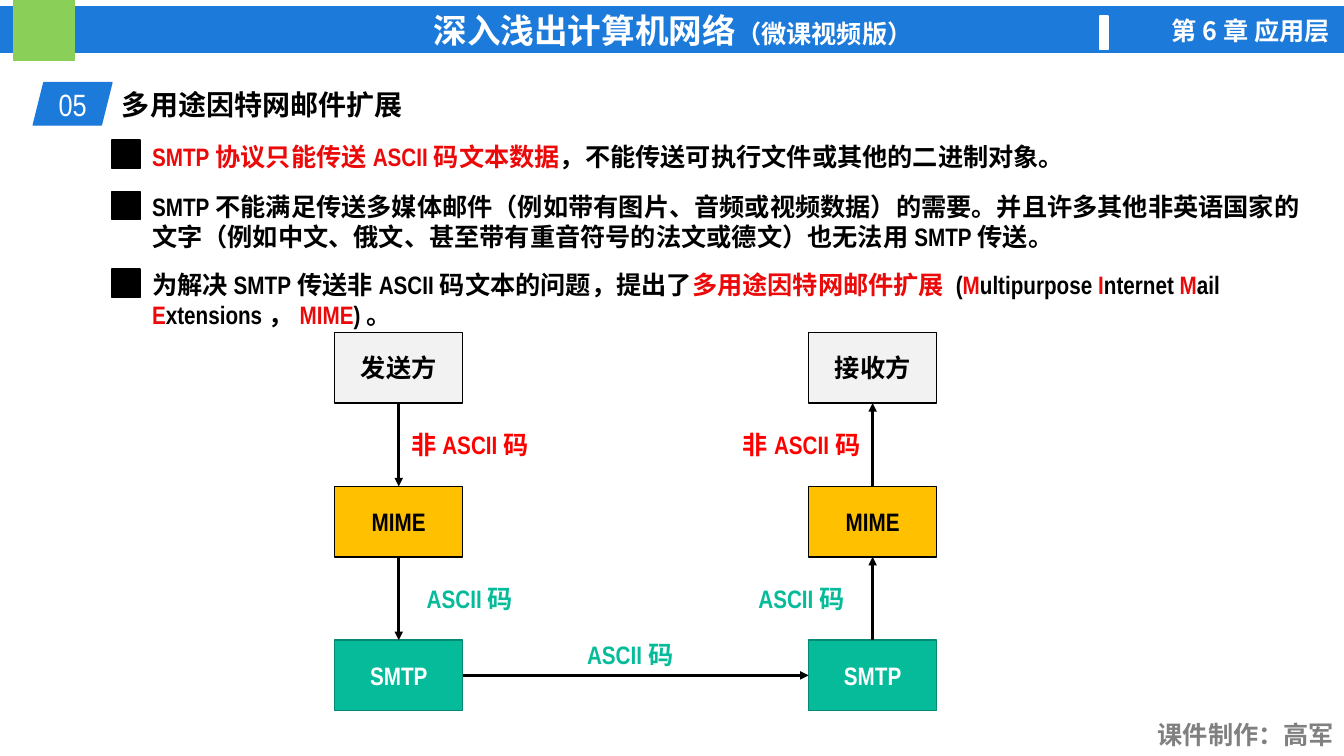
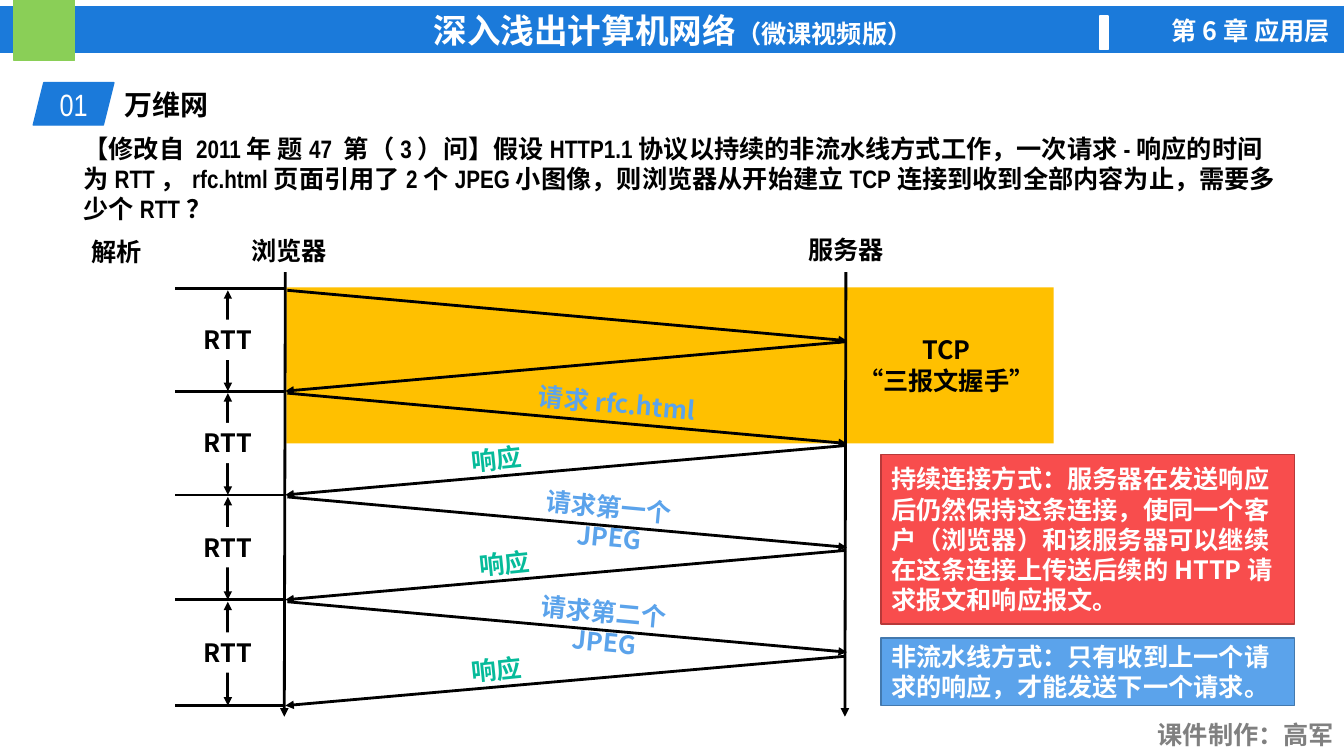
from lxml.etree import SubElement
from pptx import Presentation
from pptx.dml.color import RGBColor
from pptx.enum.shapes import MSO_CONNECTOR, MSO_SHAPE
from pptx.enum.text import MSO_ANCHOR, MSO_AUTO_SIZE, PP_ALIGN
from pptx.oxml.ns import qn
from pptx.util import Inches, Pt

NARROW, CJK = "Arial Narrow", "Noto Sans CJK SC"
BLACK = RGBColor(0x00, 0x00, 0x00)
WHITE = RGBColor(0xFF, 0xFF, 0xFF)
GRAY = RGBColor(0x80, 0x80, 0x80)
PALE = RGBColor(0xF2, 0xF2, 0xF2)
BLUE = RGBColor(0x1B, 0x7A, 0xDA)
LIME = RGBColor(0x8A, 0xCF, 0x57)
AMBER = RGBColor(0xFF, 0xC0, 0x00)
RED = RGBColor(0xFF, 0x00, 0x00)
KEY_RED = RGBColor(0xEB, 0x09, 0x09)
TEAL = RGBColor(0x06, 0xBB, 0x9A)
TEAL_EDGE = RGBColor(0x04, 0x8A, 0x72)
CORAL = RGBColor(0xF8, 0x4D, 0x4D)
CORAL_EDGE = RGBColor(0xB7, 0x39, 0x39)
SKY = RGBColor(0x5B, 0xA3, 0xEB)
SKY_EDGE = RGBColor(0x43, 0x79, 0xAE)

LEFT, CENTER, RIGHT = PP_ALIGN.LEFT, PP_ALIGN.CENTER, PP_ALIGN.RIGHT
TOP, MIDDLE = MSO_ANCHOR.TOP, MSO_ANCHOR.MIDDLE
LINE_RATIO = 1.2

BULLETS = [
    (1.3, 0.5, [("SMTP协议只能传送ASCII码文本数据", KEY_RED),
                ("，不能传送可执行文件或其他的二进制对象。", BLACK)]),
    (1.81, 0.78, [("SMTP不能满足传送多媒体邮件（例如带有图片、音频或视频数据）的需要。"
                   "并且许多其他非英语国家的文字（例如中文、俄文、甚至带有重音符号的法文或德文）"
                   "也无法用SMTP传送。", BLACK)]),
    (2.58, 0.78, [("为解决SMTP传送非ASCII码文本的问题，提出了", BLACK),
                  ("多用途因特网邮件扩展 ", KEY_RED), ("(", BLACK),
                  ("M", KEY_RED), ("ultipurpose ", BLACK),
                  ("I", KEY_RED), ("nternet ", BLACK),
                  ("M", KEY_RED), ("ail ", BLACK),
                  ("E", KEY_RED), ("xtensions，", BLACK),
                  ("MIME", KEY_RED), (")。", BLACK)]),
]
STACK_STYLES = [(PALE, BLACK, BLACK), (AMBER, BLACK, BLACK), (TEAL, TEAL_EDGE, WHITE)]
STACKS = [(3.32, ["发送方", "MIME", "SMTP"]), (8.02, ["接收方", "MIME", "SMTP"])]
STACK_TOP, STACK_STEP, BOX_W, BOX_H = 3.3, 1.525, 1.27, 0.7
HOPS = [("非ASCII码", RED), ("ASCII码", TEAL)]

QUESTION = ("【修改自 2011年 题47 第（3）问】假设HTTP1.1协议以持续的非流水线方式工作，"
            "一次请求-响应的时间为RTT，rfc.html页面引用了2个JPEG小图像，"
            "则浏览器从开始建立TCP连接到收到全部内容为止，需要多少个RTT？")
BROWSER_X, SERVER_X, TICK_X, RTT_X = 2.83, 8.39, 1.74, 2.26
TICKS = [2.86, 3.88, 4.91, 5.95, 7.0]
EXCHANGES = [None,
             ("请求rfc.html", 6.12, 1.97, 4.92),
             ("请求第一个JPEG", 6.07, 2.12, 5.0),
             ("请求第二个JPEG", 6.02, 2.12, 4.92)]
NOTES = [
    (4.51, 1.68, CORAL, CORAL_EDGE,
     "持续连接方式：服务器在发送响应后仍然保持这条连接，使同一个客户（浏览器）"
     "和该服务器可以继续在这条连接上传送后续的HTTP请求报文和响应报文。"),
    (6.33, 0.67, SKY, SKY_EDGE,
     "非流水线方式：只有收到上一个请求的响应，才能发送下一个请求。"),
]


def style_run(r, size, color, font, bold):
    r.font.size, r.font.bold, r.font.name = Pt(size), bold, font
    r.font.color.rgb = color
    SubElement(r.font._element, qn("a:ea")).set("typeface", CJK)


def write(sp, lines, size=18, color=BLACK, font=NARROW, bold=True, align=LEFT, anchor=TOP):
    tf = sp.text_frame
    tf.word_wrap, tf.auto_size, tf.vertical_anchor = True, MSO_AUTO_SIZE.NONE, anchor
    if isinstance(lines, str):
        lines = [[(text, color)] for text in lines.split("\n")]
    for i, runs in enumerate(lines):
        p = tf.add_paragraph() if i else tf.paragraphs[0]
        p.alignment = align
        p.space_before = Pt(0)
        for text, run_color, *run_size in runs:
            r = p.add_run()
            r.text = text
            style_run(r, run_size[0] if run_size else size, run_color, font, bold)
        p.line_spacing = Pt(max(r.font.size.pt for r in p.runs) * LINE_RATIO)


def label(s, box, lines, rotation=0, **style):
    sp = s.shapes.add_textbox(*map(Inches, box))
    sp.rotation = rotation
    write(sp, lines, **style)
    return sp


def block(s, box, fill, edge=None, lines=None, kind=MSO_SHAPE.RECTANGLE, **style):
    sp = s.shapes.add_shape(kind, *map(Inches, box))
    sp.shadow.inherit = False
    sp.fill.solid()
    sp.fill.fore_color.rgb = fill
    if edge is None:
        sp.line.fill.background()
    else:
        sp.line.color.rgb = edge
        sp.line.width = Pt(1)
    if lines:
        write(sp, lines, **{"align": CENTER, "anchor": MIDDLE, **style})
    return sp


def line(s, start, end, ends=("tailEnd",)):
    c = s.shapes.add_connector(MSO_CONNECTOR.STRAIGHT, *map(Inches, (*start, *end)))
    c.line.color.rgb = BLACK
    c.line.width = Pt(2)
    sp_pr = c.element.spPr
    for tag in ends:
        SubElement(sp_pr.find(qn("a:ln")), qn("a:" + tag)).set("type", "triangle")
    SubElement(sp_pr, qn("a:effectLst"))
    return c


def join(s, first, first_site, second, second_site):
    c = line(s, (0, 0), (1, 1))
    c.begin_connect(first, first_site)
    c.end_connect(second, second_site)


def build_frame(layout, s):
    for ph in list(layout.placeholders)[1:]:
        ph.element.getparent().remove(ph.element)
    frame = [
        block(s, (0, 0.07, 13.35, 0.45), BLUE, BLUE,
              [[("深入浅出计算机网络", WHITE, 24), ("（微课视频版）", WHITE, 18)]]),
        block(s, (0.14, 0, 0.6, 0.6), LIME, LIME),
        block(s, (10.91, 0.16, 0.08, 0.33), WHITE, WHITE),
        label(s, (11.11, 0.1, 2.18, 0.4), "第6章 应用层", color=WHITE, font=CJK, align=RIGHT),
        label(s, (11.34, 7.09, 1.99, 0.4), "课件制作：高军", color=GRAY, align=RIGHT),
    ]
    for sp in frame:
        layout.element.cSld.spTree.append(sp.element)


def add_heading(s, number, text, tag_w):
    tag = block(s, (0.33, 0.82, tag_w, 0.42), BLUE, BLUE, number,
                MSO_SHAPE.PARALLELOGRAM, size=22, color=WHITE, bold=False)
    tag.text_frame.margin_left = tag.text_frame.margin_right = 0
    title = s.shapes.title
    title.left, title.top, title.width, title.height = map(
        Inches, (0.33 + tag_w, 0.82, 9.59, 0.44))
    write(title, text, size=20)


def build_mime(s):
    add_heading(s, "05", "多用途因特网邮件扩展", 0.78)
    for top, height, runs in BULLETS:
        block(s, (1.11, top + 0.09, 0.28, 0.28), BLACK, BLACK)
        label(s, (1.41, top, 11.59, height), [runs], anchor=MIDDLE)
    sender, receiver = [
        [block(s, (x, STACK_TOP + i * STACK_STEP, BOX_W, BOX_H), fill, edge, name, color=color)
         for i, (name, (fill, edge, color)) in enumerate(zip(names, STACK_STYLES))]
        for x, names in STACKS]
    for i, (text, color) in enumerate(HOPS):
        join(s, sender[i], 2, sender[i + 1], 0)
        join(s, receiver[i + 1], 0, receiver[i], 2)
        for x in (3.95, 7.24):
            label(s, (x, 4.21 + i * STACK_STEP, 1.42, 0.4), text, color=color, align=CENTER)
    join(s, sender[-1], 3, receiver[-1], 1)
    label(s, (5.54, 6.29, 1.42, 0.4), "ASCII码", color=TEAL, align=CENTER)


def build_rtt(s):
    add_heading(s, "01", "万维网", 0.8)
    centered = dict(font=CJK, align=CENTER)
    block(s, (2.84, 2.85, 7.61, 1.55), AMBER)
    label(s, (8.39, 3.27, 1.99, 0.71), "TCP\n“三报文握手”", **centered)
    for text, x, top, width in (("浏览器", 2.12, 2.29, 1.5), ("服务器", 7.52, 2.28, 1.74)):
        label(s, (x, top, width, 0.4), text, **centered)
    for x in (BROWSER_X, SERVER_X):
        line(s, (x, 2.7), (x - 0.01, 7.11))
    for y in TICKS:
        line(s, (BROWSER_X, y), (TICK_X, y), ends=())
    for y, y_next, exchange in zip(TICKS, TICKS[1:], EXCHANGES):
        line(s, (BROWSER_X + 0.02, y + 0.02), (SERVER_X + 0.01, y + 0.52))
        line(s, (SERVER_X, y_next - 0.49), (BROWSER_X, y_next))
        line(s, (RTT_X, y + 0.02), (RTT_X, y_next), ends=("headEnd", "tailEnd"))
        block(s, (RTT_X - 0.38, (y + y_next) / 2 - 0.2, 0.76, 0.4), WHITE,
              lines="RTT", font=CJK, anchor=TOP)
        if exchange:
            request, x, width, reply_x = exchange
            label(s, (x - width / 2, y - 0.08, width, 0.4), request, 5.3, color=SKY, **centered)
            label(s, (reply_x - 0.98, y_next - 0.56, 1.97, 0.4), "响应", 354.2,
                  color=TEAL, **centered)
    for top, height, fill, edge, text in NOTES:
        block(s, (8.74, top, 4.1, height), fill, edge, text, color=WHITE, font=CJK, align=LEFT)
    label(s, (0.81, 2.3, 0.76, 0.4), "解析")
    label(s, (0.73, 1.4, 12.04, 0.74), QUESTION, anchor=MIDDLE)


def main():
    prs = Presentation()
    prs.slide_width, prs.slide_height = Inches(13.33), Inches(7.5)
    layout = prs.slide_layouts[5]
    slides = [prs.slides.add_slide(layout) for _ in range(2)]
    build_frame(layout, slides[0])
    for s, build in zip(slides, (build_mime, build_rtt)):
        build(s)
    prs.save("out.pptx")


if __name__ == "__main__":
    main()
